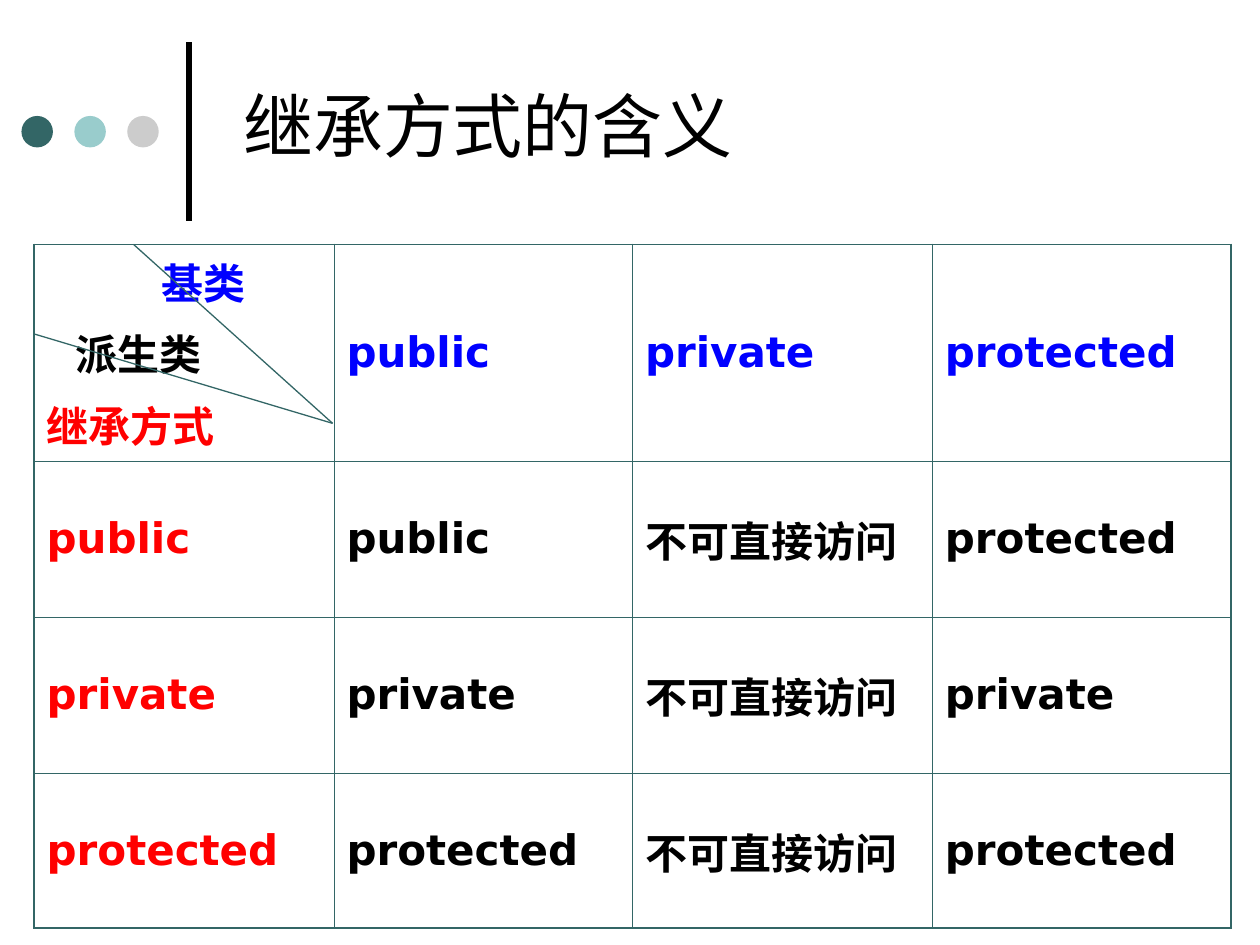
from dataclasses import dataclass

from lxml import etree
from pptx import Presentation
from pptx import util as u
from pptx.dml.color import RGBColor
from pptx.enum import shapes, text
from pptx.oxml import ns


@dataclass(frozen=True)
class Theme:
    ink: str = "000000"
    base: str = "0000FF"
    mode: str = "FF0000"
    rule: str = "336666"
    dots: tuple = ("336666", "99CCCC", "CCCCCC")
    title_font: str = "Arial"
    latin_font: str = "DejaVu Sans"
    chinese_font: str = "Noto Sans CJK SC"
    title_size: float = 40
    body_size: float = 24
    paragraph_gap: float = 6
    bar_width: float = 3
    diagonal_width: float = 0.75
    outer_width: float = 1.08
    inner_width: float = 0.45


THEME = Theme()
COLUMNS = (2.38, 2.37, 2.38, 2.37)
ROWS = (1.47, 1.24, 1.24, 1.23)
DENIED = "不可直接访问"
MEMBERS = ("public", "private", "protected")
ACCESS = (
    ("public", DENIED, "protected"),
    ("private", DENIED, "private"),
    ("protected", DENIED, "protected"),
)
CORNER = (("基类", THEME.base, 0.91), ("派生类", THEME.ink, 0.23), ("继承方式", THEME.mode, 0))


def add_run(paragraph, words, font, size, color, bold=False):
    run = paragraph.add_run()
    run.text = words
    run.font.name = font
    run.font.size = u.Pt(size)
    run.font.bold = bold
    run.font.color.rgb = RGBColor.from_string(color)
    east_asian = etree.SubElement(run.font._element, ns.qn("a:ea"))
    east_asian.set("typeface", font)


def add_line(slide, start, end, color, width):
    points = [u.Inches(value) for value in (*start, *end)]
    line = slide.shapes.add_connector(shapes.MSO_CONNECTOR.STRAIGHT, *points)
    line.line.color.rgb = RGBColor.from_string(color)
    line.line.width = u.Pt(width)
    etree.SubElement(line._element.spPr, ns.qn("a:effectLst"))


def add_ornament(slide, left, top, width, height):
    diameter, pitch = 0.25, 0.42
    for index, color in enumerate(THEME.dots):
        dot = slide.shapes.add_shape(
            shapes.MSO_SHAPE.OVAL,
            u.Inches(left + index * pitch), u.Inches(top + 0.59),
            u.Inches(diameter), u.Inches(diameter),
        )
        dot.shadow.inherit = False
        dot.fill.solid()
        dot.fill.fore_color.rgb = RGBColor.from_string(color)
        dot.line.fill.background()
    right = left + width
    add_line(slide, (right, top + height), (right, top), THEME.ink, THEME.bar_width)


def place_title(slide, words, left, top, width, height):
    title = slide.shapes.title
    title.left, title.top = u.Inches(left), u.Inches(top)
    title.width, title.height = u.Inches(width), u.Inches(height)
    frame = title.text_frame
    frame.word_wrap = True
    frame.auto_size = text.MSO_AUTO_SIZE.NONE
    frame.vertical_anchor = text.MSO_ANCHOR.MIDDLE
    paragraph = frame.paragraphs[0]
    paragraph.alignment = text.PP_ALIGN.LEFT
    add_run(paragraph, words, THEME.title_font, THEME.title_size, THEME.ink)


def set_borders(cell, row, column):
    outer = {
        "L": column == 0,
        "R": column == len(COLUMNS) - 1,
        "T": row == 0,
        "B": row == len(ROWS) - 1,
    }
    properties = cell._tc.get_or_add_tcPr()
    for index, (side, is_outer) in enumerate(outer.items()):
        border = etree.Element(ns.qn(f"a:ln{side}"))
        width = THEME.outer_width if is_outer else THEME.inner_width
        border.set("w", str(u.Pt(width)))
        fill = etree.SubElement(border, ns.qn("a:solidFill"))
        etree.SubElement(fill, ns.qn("a:srgbClr")).set("val", THEME.rule)
        properties.insert(index, border)


def fill_cell(cell, lines):
    cell.fill.background()
    frame = cell.text_frame
    for index, (words, color, indent) in enumerate(lines):
        paragraph = frame.add_paragraph() if index else frame.paragraphs[0]
        if index:
            paragraph.space_before = u.Pt(THEME.paragraph_gap)
        paragraph._p.get_or_add_pPr().set("marL", str(u.Inches(indent)))
        font = THEME.latin_font if words.isascii() else THEME.chinese_font
        add_run(paragraph, words, font, THEME.body_size, color, bold=True)


def cell_lines(row, column):
    if row == 0 and column == 0:
        return CORNER
    if row == 0:
        return ((MEMBERS[column - 1], THEME.base, 0),)
    if column == 0:
        return ((MEMBERS[row - 1], THEME.mode, 0),)
    return ((ACCESS[row - 1][column - 1], THEME.ink, 0),)


def add_access_table(slide, left, top):
    frame = slide.shapes.add_table(
        len(ROWS), len(COLUMNS), u.Inches(left), u.Inches(top),
        u.Inches(sum(COLUMNS)), u.Inches(sum(ROWS)),
    )
    table = frame.table
    table.first_row = table.horz_banding = False
    for column, width in enumerate(COLUMNS):
        table.columns[column].width = u.Inches(width)
    for row, height in enumerate(ROWS):
        table.rows[row].height = u.Inches(height)
        for column in range(len(COLUMNS)):
            cell = table.cell(row, column)
            is_corner = row == column == 0
            cell.vertical_anchor = text.MSO_ANCHOR.TOP if is_corner else text.MSO_ANCHOR.MIDDLE
            fill_cell(cell, cell_lines(row, column))
            set_borders(cell, row, column)


def add_corner_diagonals(slide, left, top, width, height):
    meeting = (left + width, top + height)
    for start in ((left + width / 3, top), (left, top + height / 2)):
        add_line(slide, start, meeting, THEME.rule, THEME.diagonal_width)


def main():
    presentation = Presentation()
    presentation.slide_width, presentation.slide_height = u.Inches(10), u.Inches(7.5)
    slide = presentation.slides.add_slide(presentation.slide_layouts.get_by_name("Title Only"))
    add_ornament(slide, 0.17, 0.33, 1.33, 1.42)
    place_title(slide, "继承方式的含义", 1.83, 0.36, 9, 1.25)
    add_access_table(slide, 0.27, 1.94)
    add_corner_diagonals(slide, 0.27, 1.94, 2.37, 1.42)
    presentation.save("out.pptx")


if __name__ == "__main__":
    main()
